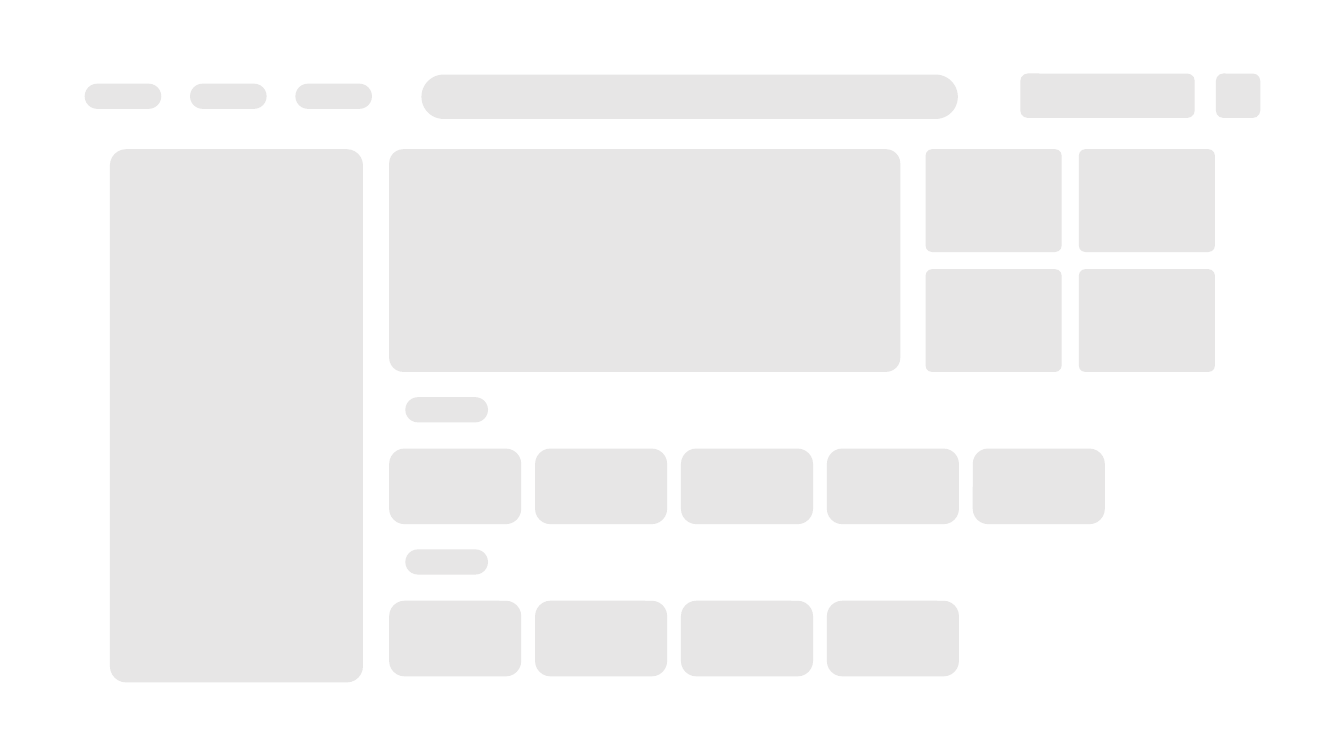
from pptx import Presentation
from pptx.dml.color import RGBColor
from pptx.enum import shapes
from pptx.util import Inches

PLACEHOLDER_GRAY = RGBColor(0xE7, 0xE6, 0xE6)
PILL, PANEL, CARD, BUTTON = 0.5, 0.064, 0.204, 0.167

presentation = Presentation()
presentation.slide_width = Inches(13.33)
presentation.slide_height = Inches(7.5)
slide = presentation.slides.add_slide(presentation.slide_layouts[6])


def add_block(left, top, width, height, rounding):
    """Add a gray rounded block; positions and sizes are in inches."""
    block = slide.shapes.add_shape(
        shapes.MSO_SHAPE.ROUNDED_RECTANGLE,
        Inches(left), Inches(top), Inches(width), Inches(height))
    block.adjustments[0] = rounding
    block.shadow.inherit = False
    block.fill.solid()
    block.fill.fore_color.rgb = PLACEHOLDER_GRAY
    block.line.fill.background()


# Sidebar and main banner
content_left, content_top = 3.86, 1.48
add_block(1.09, content_top, 2.51, 5.29, PANEL)
add_block(content_left, content_top, 5.07, 2.21, PANEL)

# Two-by-two tiles beside the banner
for row in range(2):
    for column in range(2):
        add_block(9.18 + column * 1.52, content_top + row * 1.19,
                  1.35, 1.02, PANEL)

# Header: menu items, search bar, account button and icon
for item in range(3):
    add_block(0.84 + item * 1.045, 0.83, 0.76, 0.25, PILL)
add_block(4.18, 0.74, 5.32, 0.44, PILL)
add_block(10.12, 0.73, 1.73, 0.44, BUTTON)
add_block(12.06, 0.73, 0.44, 0.44, BUTTON)

# Sections: a heading pill above a row of cards
for section_top, card_count in ((3.94, 5), (5.45, 4)):
    add_block(content_left + 0.16, section_top, 0.82, 0.25, PILL)
    for card in range(card_count):
        add_block(content_left + card * 1.447, section_top + 0.51,
                  1.31, 0.75, CARD)

presentation.save("out.pptx")
